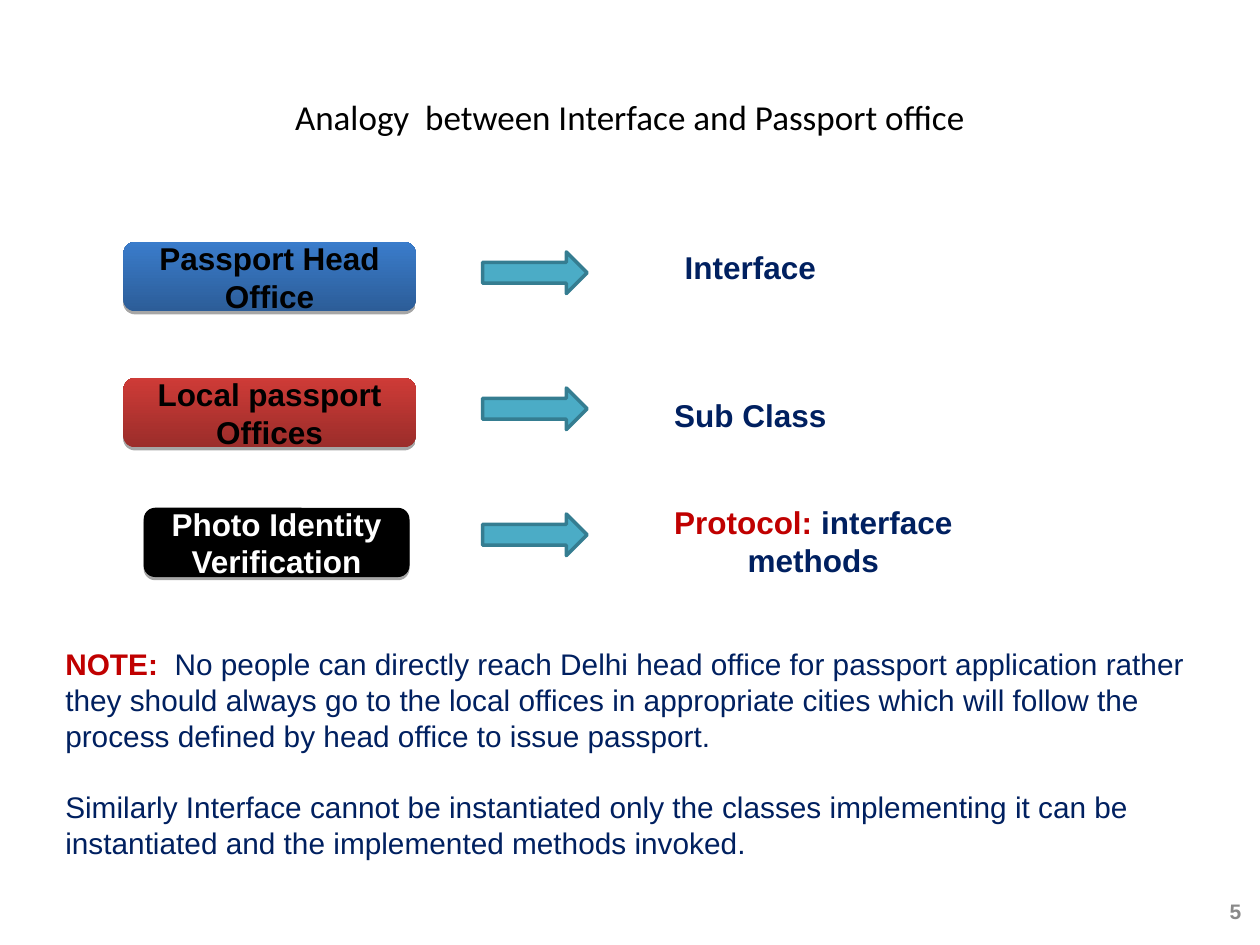
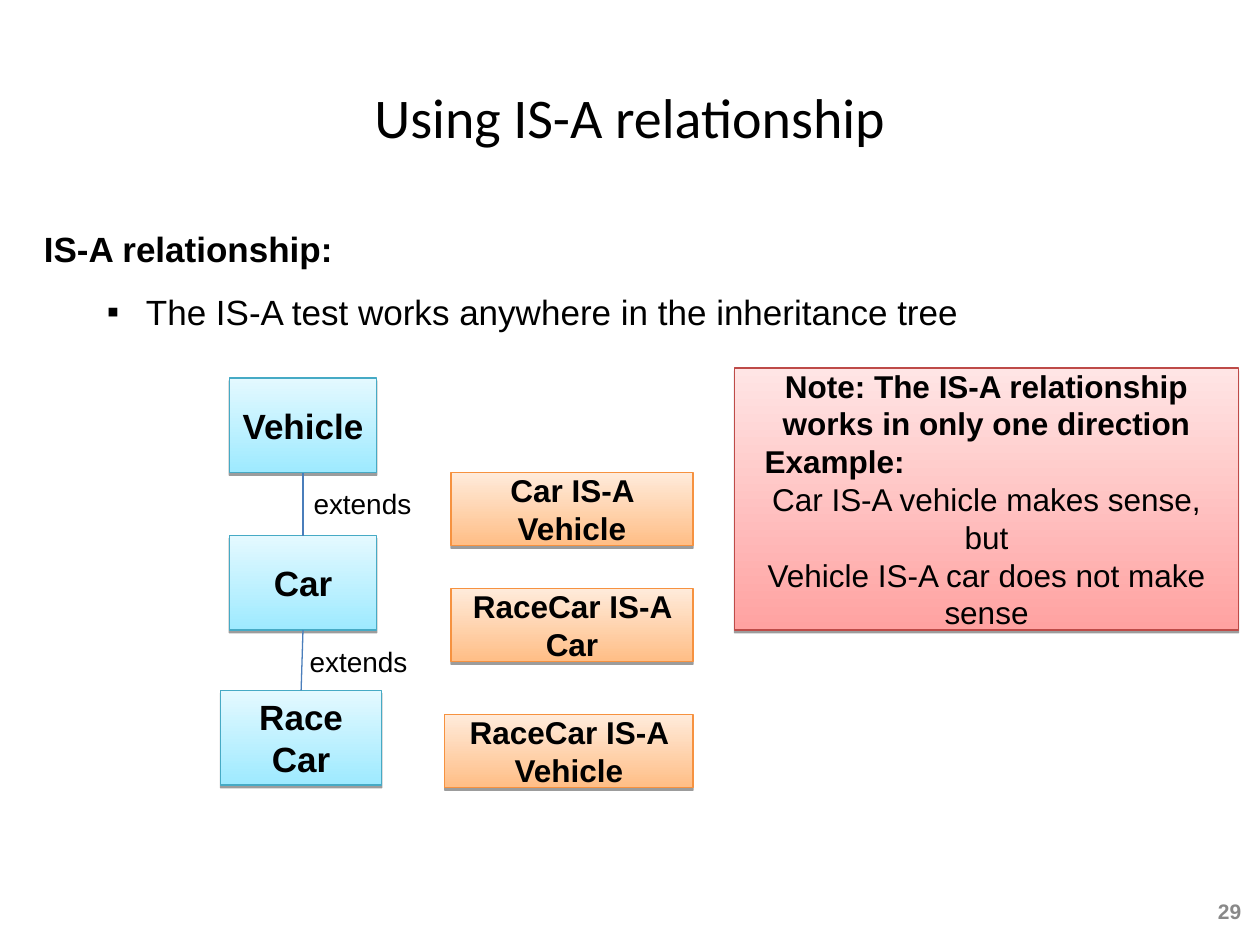
from dataclasses import dataclass
from typing import Optional, Sequence

from lxml import etree
from pptx import Presentation
from pptx.dml.color import RGBColor
from pptx.enum import shapes, text
from pptx.oxml import ns
from pptx.util import Inches, Pt

BLACK = RGBColor(0x00, 0x00, 0x00)
WHITE = RGBColor(0xFF, 0xFF, 0xFF)
NAVY = RGBColor(0x00, 0x20, 0x60)
CRIMSON = RGBColor(0xC0, 0x00, 0x00)
GREY = RGBColor(0x89, 0x89, 0x89)
TEAL = RGBColor(0x4B, 0xAC, 0xC6)
DARK_TEAL = RGBColor(0x35, 0x7D, 0x91)
LINK_BLUE = RGBColor(0x4A, 0x7E, 0xBB)

LEFT, CENTER, RIGHT = text.PP_ALIGN.LEFT, text.PP_ALIGN.CENTER, text.PP_ALIGN.RIGHT
TOP, MIDDLE = text.MSO_ANCHOR.TOP, text.MSO_ANCHOR.MIDDLE
RECT = shapes.MSO_SHAPE.RECTANGLE
ROUNDED = shapes.MSO_SHAPE.ROUNDED_RECTANGLE
ARROW = shapes.MSO_SHAPE.RIGHT_ARROW


@dataclass(frozen=True)
class Box:
    left: float
    top: float
    width: float
    height: float

    def emu(self) -> tuple:
        return tuple(Inches(v) for v in (self.left, self.top, self.width, self.height))


@dataclass(frozen=True)
class Run:
    text: str
    color: RGBColor = BLACK
    bold: bool = False


@dataclass(frozen=True)
class Para:
    runs: Sequence[Run]
    size: float = 18
    align: text.PP_ALIGN = CENTER
    font: str = "Arial"
    before: float = 0
    margin: float = 0
    indent: float = 0
    bullet: str = ""


@dataclass(frozen=True)
class Look:
    bottom: RGBColor
    top: Optional[RGBColor] = None
    line: Optional[RGBColor] = None
    line_width: float = 0.75
    shadow_alpha: int = 0
    shadow_dist: float = 0


def raised(bottom: str, top: str, line: str) -> Look:
    rgb = RGBColor.from_string
    return Look(rgb(bottom), rgb(top), rgb(line), shadow_alpha=38, shadow_dist=1.6)


def badge(bottom: str, top: str) -> Look:
    rgb = RGBColor.from_string
    return Look(rgb(bottom), rgb(top), shadow_alpha=35, shadow_dist=1.8)


BLUE_BADGE = badge("2C5D98", "3A7CCB")
RED_BADGE = badge("9B2D2A", "CE3B37")
BLACK_BADGE = Look(BLACK, shadow_alpha=35, shadow_dist=1.8)
PLAIN = Look(WHITE)
ARROW_LOOK = Look(TEAL, line=DARK_TEAL, line_width=2)
CLASS_LOOK = raised("9EEAFF", "E4F9FF", "46AAC5")
TEST_LOOK = raised("FFBE86", "FFEBDB", "F69240")
NOTE_LOOK = raised("FFA2A1", "FFE5E5", "BE4B48")


def bold_line(words: str, color: RGBColor = BLACK, size: float = 18) -> Para:
    return Para([Run(words, color, True)], size)


def write(tf, paras: Sequence[Para], anchor=MIDDLE) -> None:
    tf.word_wrap = True
    tf.vertical_anchor = anchor
    for i, para in enumerate(paras):
        p = tf.paragraphs[0] if i == 0 else tf.add_paragraph()
        p.alignment = para.align
        p.space_before = Pt(para.before)
        p.font.name = para.font
        p.font.size = Pt(para.size)
        pPr = p._p.get_or_add_pPr()
        pPr.set("marL", str(Inches(para.margin)))
        pPr.set("indent", str(Inches(para.indent)))
        if para.bullet:
            defaults = pPr.find(ns.qn("a:defRPr"))
            defaults.addprevious(etree.Element(ns.qn("a:buFont"), typeface=para.font))
            defaults.addprevious(etree.Element(ns.qn("a:buChar"), char=para.bullet))
        for run in para.runs:
            r = p.add_run()
            r.text = run.text
            font = p.font if len(para.runs) == 1 else r.font
            font.bold = run.bold
            font.color.rgb = run.color


def add_text(slide, box: Box, paras: Sequence[Para], anchor=TOP) -> None:
    write(slide.shapes.add_textbox(*box.emu()).text_frame, paras, anchor)


def add_block(slide, kind, box: Box, look: Look, paras: Sequence[Para] = ()):
    sp = slide.shapes.add_shape(kind, *box.emu())
    if look.top is None:
        sp.fill.solid()
        sp.fill.fore_color.rgb = look.bottom
    else:
        sp.fill.gradient()
        sp.fill.gradient_angle = 90
        for stop, color in zip(sp.fill.gradient_stops, (look.bottom, look.top)):
            stop.color.rgb = color
    if look.line is None:
        sp.line.fill.background()
    else:
        sp.line.color.rgb = look.line
        sp.line.width = Pt(look.line_width)
    sp.shadow.inherit = False
    if look.shadow_alpha:
        effects = sp._element.spPr.find(ns.qn("a:effectLst"))
        shadow = etree.SubElement(effects, ns.qn("a:outerShdw"), blurRad="0",
                                  dist=str(Pt(look.shadow_dist)), dir="5400000",
                                  rotWithShape="0")
        color = etree.SubElement(shadow, ns.qn("a:srgbClr"), val=str(BLACK))
        etree.SubElement(color, ns.qn("a:alpha"), val=str(look.shadow_alpha * 1000))
    write(sp.text_frame, paras)
    return sp


def link(slide, parent, child) -> None:
    line = slide.shapes.add_connector(shapes.MSO_CONNECTOR.STRAIGHT, 0, 0, 0, 0)
    line.begin_connect(child, 0)
    line.end_connect(parent, 2)
    line.line.color.rgb = LINK_BLUE
    line.line.width = Pt(0.75)
    etree.SubElement(line._element.spPr, ns.qn("a:effectLst"))


def new_slide(prs, title: str, title_size: float, number: int):
    slide = prs.slides.add_slide(prs.slide_layouts[6])
    add_text(slide, Box(0.5, 0.3, 9, 1.25),
             [Para([Run(title)], title_size, font="Calibri")], MIDDLE)
    add_text(slide, Box(9.46, 7.06, 0.49, 0.35),
             [Para([Run(str(number), GREY, True)], 12, RIGHT)], MIDDLE)
    return slide


def build_analogy(prs) -> None:
    slide = new_slide(prs, "Analogy  between Interface and Passport office", 20, 5)
    rows = [
        (Box(0.98, 1.92, 2.32, 0.55), BLUE_BADGE, bold_line("Passport Head Office"),
         2, Box(4.83, 1.83, 2.25, 0.58), bold_line("Interface", NAVY)),
        (Box(0.98, 3, 2.32, 0.55), RED_BADGE, bold_line("Local passport Offices"),
         3.08, Box(4.83, 3, 2.25, 0.58), bold_line("Sub Class", NAVY)),
        (Box(1.14, 4.03, 2.11, 0.55), BLACK_BADGE,
         bold_line("Photo Identity Verification", WHITE),
         4.08, Box(4.83, 4, 3.25, 0.58),
         Para([Run("Protocol:", CRIMSON, True), Run(" interface methods", NAVY, True)])),
    ]
    for office_box, look, office, arrow_top, meaning_box, meaning in rows:
        add_block(slide, ROUNDED, office_box, look, [office])
        add_block(slide, ARROW, Box(3.83, arrow_top, 0.83, 0.33), ARROW_LOOK)
        add_block(slide, ROUNDED, meaning_box, PLAIN, [meaning])
    add_text(slide, Box(0.42, 5.08, 9.2, 1.8), [
        Para([Run("NOTE:  ", CRIMSON, True),
              Run("No people can directly reach Delhi head office for passport "
                  "application rather they should always go to the local offices in "
                  "appropriate cities which will follow the process defined by head "
                  "office to issue passport.", NAVY)], 17, LEFT),
        Para([Run("Similarly Interface cannot be instantiated only the classes "
                  "implementing it can be instantiated and the implemented methods "
                  "invoked.", NAVY)], 17, LEFT, before=20.4),
    ])


def build_is_a(prs) -> None:
    slide = new_slide(prs, "Using IS-A relationship", 32, 29)
    add_text(slide, Box(0.25, 1.76, 7.75, 5.41), [
        Para([Run("IS-A relationship:", bold=True)], 20, LEFT, before=12,
             margin=0.38, indent=-0.38),
        Para([Run("The IS-A test works anywhere in the inheritance tree")], 20, LEFT,
             before=12, margin=0.81, indent=-0.31, bullet="▪"),
    ])
    classes = [
        add_block(slide, RECT, box, CLASS_LOOK, [bold_line(name, size=20)])
        for name, box in (
            ("Vehicle", Box(1.82, 3, 1.17, 0.75)),
            ("Car", Box(1.82, 4.25, 1.17, 0.75)),
            ("Race Car", Box(1.75, 5.48, 1.28, 0.75)),
        )
    ]
    for parent, child in zip(classes, classes[1:]):
        link(slide, parent, child)
    for left, top in ((2.39, 3.81), (2.36, 5.07)):
        add_text(slide, Box(left, top, 1.1, 0.37), [Para([Run("extends")], 16, LEFT)])
    for words, box in (
        ("Car IS-A Vehicle", Box(3.58, 3.75, 1.92, 0.58)),
        ("RaceCar IS-A Car", Box(3.58, 4.67, 1.92, 0.58)),
        ("RaceCar IS-A Vehicle", Box(3.53, 5.67, 1.97, 0.58)),
    ):
        add_block(slide, RECT, box, TEST_LOOK, [bold_line(words)])
    add_block(slide, RECT, Box(5.83, 2.92, 4, 2.08), NOTE_LOOK, [
        bold_line("Note: The IS-A relationship works in only one direction"),
        Para([Run("Example:", bold=True)], align=LEFT, margin=0.14),
        Para([Run("Car IS-A vehicle makes sense, but")]),
        Para([Run("Vehicle IS-A car does not make sense")]),
    ])


def main() -> None:
    prs = Presentation()
    prs.slide_width, prs.slide_height = Inches(10), Inches(7.5)
    build_analogy(prs)
    build_is_a(prs)
    prs.save("out.pptx")


if __name__ == "__main__":
    main()
